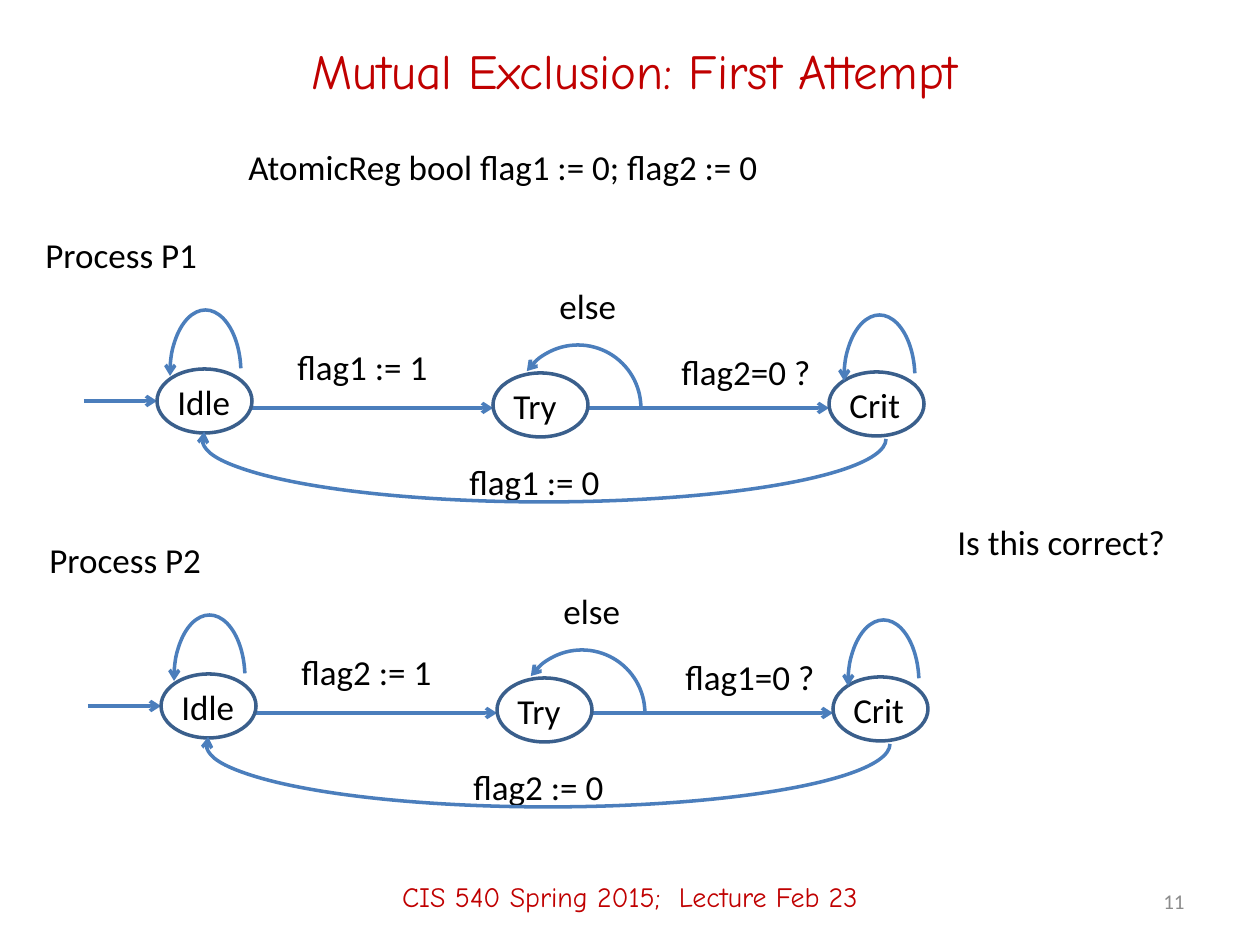
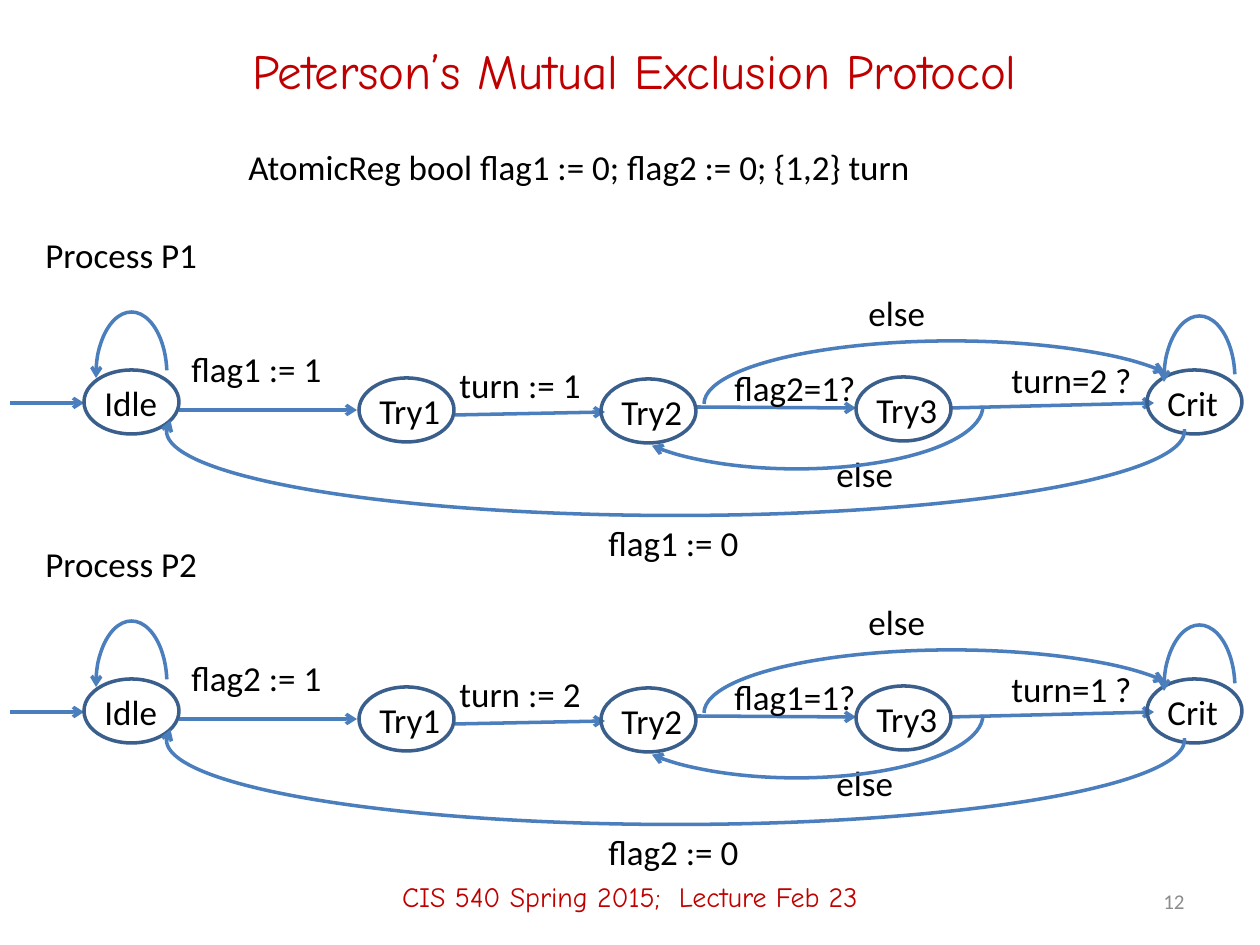
from lxml import etree
from pptx import Presentation, util as u
from pptx.dml.color import RGBColor
from pptx.enum import shapes, text
from pptx.oxml.ns import qn

PX = 914400 / 126
COLORS = {"title": "C00000", "body": "000000", "number": "8C8C8C",
          "arrow": "4B7EBC", "state": "3A5F8C"}
TITLE_FONT, BODY_FONT = "Comic Neue", "Calibri"
STATE_W, STATE_H, TEXT_H = 95, 64, 55
LOOP = (71, 126, 175.2, 352.5, "head", None)


def write(sp, box, words, size=20, font=BODY_FONT, color="body", align=None):
    """Place a text shape; a box with an alignment wraps, one without fits its text."""
    sp.left, sp.top, sp.width, sp.height = [round(v * PX) for v in box]
    tf = sp.text_frame
    tf.word_wrap = align is not None
    if align is None:
        tf.auto_size = text.MSO_AUTO_SIZE.SHAPE_TO_FIT_TEXT
    else:
        tf.vertical_anchor = text.MSO_ANCHOR.MIDDLE
    p = tf.paragraphs[0]
    p.alignment = align
    r = p.add_run()
    r.text = words
    r.font.size, r.font.name = u.Pt(size), font
    r.font.color.rgb = RGBColor.from_string(COLORS[color])


def outline(sp, color, arrow_end=None):
    """Draw a shadowless 2 pt line, with an open arrow at its head or tail."""
    sp.line.color.rgb = RGBColor.from_string(COLORS[color])
    sp.line.width = u.Pt(2)
    pr = sp._element.spPr
    if arrow_end:
        etree.SubElement(pr.find(qn("a:ln")), qn(f"a:{arrow_end}End"), type="arrow")
    etree.SubElement(pr, qn("a:effectLst"))


# Positions are for process 1; "shift" moves the same diagram down for process 2.
# {me} is the process's own number and {other} the other one's.
# states: name, x, y, label width; arrows: x1, y1, x2, y2; labels: text, x, y, width
# arcs: x, y, width, height, start angle, end angle, arrow end, turn or flip
slides = [
    {
        "title": "Mutual Exclusion: First Attempt",
        "registers": ("AtomicReg bool flag1 := 0; flag2 := 0", 539),
        "shift": (4, 305),
        "states": [("Idle", 157, 369, 78), ("Try", 493, 373, 69), ("Crit", 829, 372, 77)],
        "arrows": [(84, 401, 157, 401), (252, 408, 493, 408), (588, 408, 829, 408)],
        "labels": [
            ("flag{me} := 1", 285, 339, 158),
            ("flag{other}=0 ?", 669, 344, 156),
            ("else", 547, 278, 83),
            ("flag{me} := 0", 457, 454, 158),
        ],
        "arcs": [
            (481, 97, 126, 684, 270, 91.2, "tail", "quarter turn"),
            (515, 345, 126, 126, 215.8, 0, "head", None),
            (844, 315, *LOOP),
            (170, 310, *LOOP),
        ],
        "question": "Is this correct?",
    },
    {
        "title": "Peterson’s Mutual Exclusion Protocol",
        "registers": ("AtomicReg bool flag1 := 0; flag2 := 0; {1,2} turn", 693),
        "shift": (0, 309),
        "states": [("Idle", 84, 370, 78), ("Try1", 359, 378, 87), ("Try2", 601, 379, 87),
                   ("Try3", 856, 377, 87), ("Crit", 1147, 370, 77)],
        "arrows": [(10, 403, 84, 403), (179, 410, 357, 410), (455, 415, 605, 412),
                   (694, 407, 856, 408), (951, 408, 1154, 403)],
        "labels": [
            ("flag{me} := 1", 179, 341, 158),
            ("turn := {me}", 447, 357, 147),
            ("flag{other}=1?", 722, 360, 147),
            ("turn={other} ?", 999, 352, 146),
            ("else", 856, 285, 83),
            ("else", 824, 446, 83),
            ("flag{me} := 0", 596, 515, 158),
        ],
        "arcs": [
            (591, -78, 169, 1018, 269.8, 91.2, "tail", "quarter turn"),
            (610, 343, 373, 126, 195.4, 0, "head", "flipV"),
            (704, 341, 495, 126, 188.5, 0, "head", "flipH"),
            (1164, 316, *LOOP),
            (96, 312, *LOOP),
        ],
        "question": None,
    },
]

prs = Presentation()
prs.slide_width, prs.slide_height = round(1260 * PX), round(945 * PX)

for number, content in enumerate(slides, start=11):
    s = prs.slides.add_slide(prs.slide_layouts[5])
    write(s.shapes.title, (94, 21, 1081, 98), content["title"], 28, TITLE_FONT,
          "title", text.PP_ALIGN.CENTER)
    registers, width = content["registers"]
    write(s.shapes.add_textbox(0, 0, 0, 0), (236, 139, width, TEXT_H), registers)

    for me, other in ((1, 2), (2, 1)):
        dx, dy = [(me - 1) * step for step in content["shift"]]
        process = s.shapes.add_group_shape().shapes

        for x1, y1, x2, y2 in content["arrows"]:
            ends = [round(v * PX) for v in (x1 + dx, y1 + dy, x2 + dx, y2 + dy)]
            arrow = process.add_connector(shapes.MSO_CONNECTOR.STRAIGHT, *ends)
            outline(arrow, "arrow", "tail")

        labels = [("Process P{me}", 33, 227, 179)] + content["labels"]
        for name, x, y, width in content["states"]:
            box = [round(v * PX) for v in (x + dx, y + dy, STATE_W, STATE_H)]
            state = process.add_shape(shapes.MSO_SHAPE.OVAL, *box)
            state.fill.background()
            outline(state, "state")
            labels.append((name, x + 8, y + 5, width))

        for words, x, y, width in labels:
            write(process.add_textbox(0, 0, 0, 0), (x + dx, y + dy, width, TEXT_H),
                  words.format(me=me, other=other))

        for x, y, width, height, start, end, arrow_end, turn in content["arcs"]:
            box = [round(v * PX) for v in (x + dx, y + dy, width, height)]
            arc = process.add_shape(shapes.MSO_SHAPE.ARC, *box)
            # Adjustments count 100000ths, while angles are stored in 60000ths of a degree.
            arc.adjustments[0], arc.adjustments[1] = start * 0.6, end * 0.6
            arc.fill.background()
            outline(arc, "arrow", arrow_end)
            if turn == "quarter turn":
                arc.rotation = 90
            elif turn:
                arc._element.spPr.xfrm.set(turn, "1")

    if content["question"]:
        write(s.shapes.add_textbox(0, 0, 0, 0), (945, 514, 236, TEXT_H), content["question"])
    write(s.shapes.add_textbox(0, 0, 0, 0), (0, 847, 1260, 98),
          "CIS 540 Spring 2015;  Lecture Feb 23", 16, TITLE_FONT, "title",
          text.PP_ALIGN.CENTER)
    write(s.shapes.add_textbox(0, 0, 0, 0), (903, 876, 294, 50), str(number), 12,
          color="number", align=text.PP_ALIGN.RIGHT)

prs.save("out.pptx")
